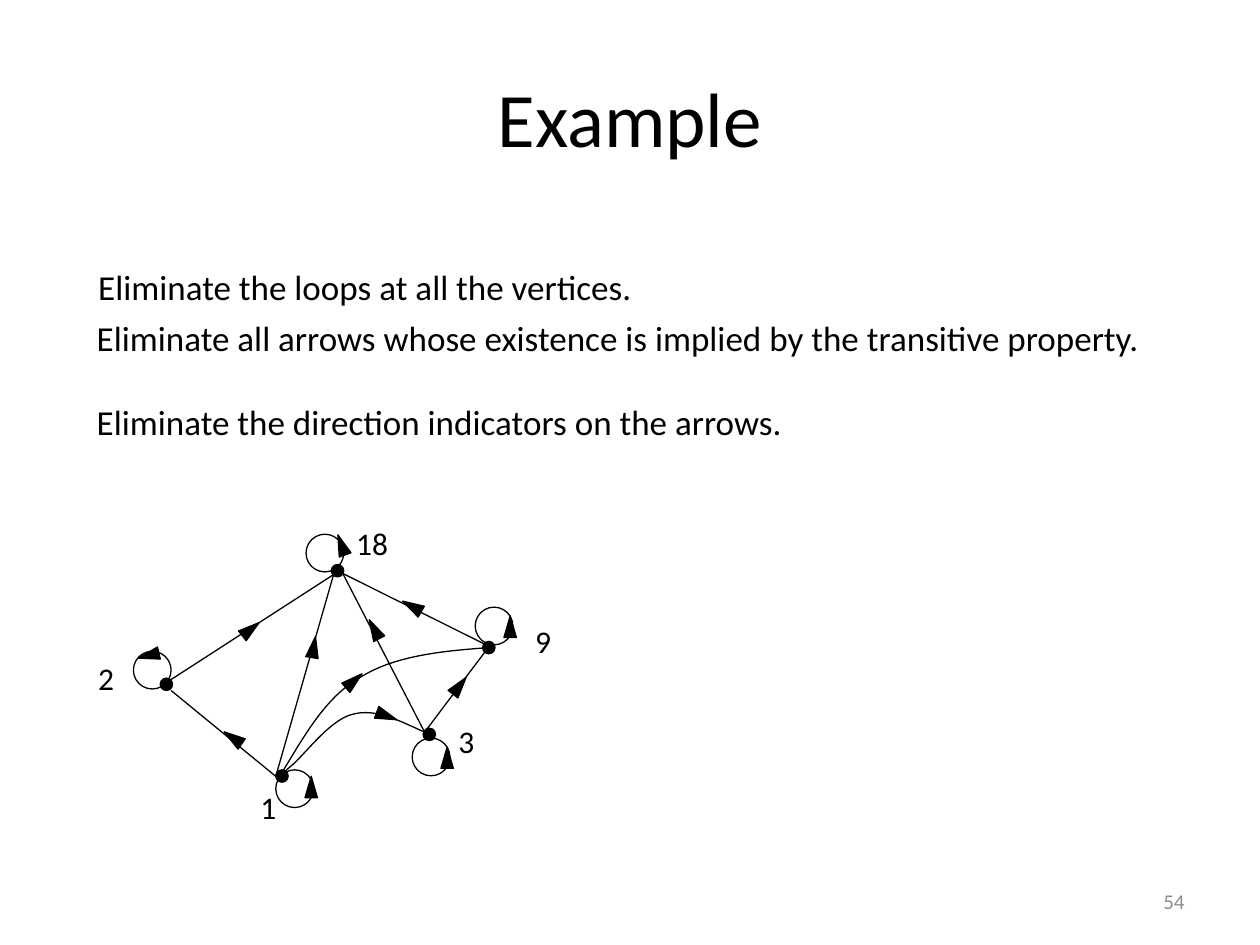
from dataclasses import dataclass
from itertools import chain

from lxml.etree import SubElement
from pptx import Presentation
from pptx.dml.color import RGBColor
from pptx.enum.shapes import MSO_CONNECTOR, MSO_SHAPE
from pptx.enum.text import MSO_ANCHOR, PP_ALIGN
from pptx.oxml.ns import qn
from pptx.util import Cm, Pt


@dataclass(frozen=True)
class Theme:
    font: str = "Calibri"
    ink: RGBColor = RGBColor(0x00, 0x00, 0x00)
    muted: RGBColor = RGBColor(0x8C, 0x8C, 0x8C)
    title: Pt = Pt(44)
    body: Pt = Pt(20)
    label: Pt = Pt(18)
    number: Pt = Pt(12)
    line: Pt = Pt(0.75)


THEME = Theme()
DOT = 0.25
LOOP = 0.76
HEAD = (0.25, 0.43)

STEPS = [
    ("Eliminate the loops at all the vertices.", (1.73, 5.23, 21.77, 1.09)),
    ("Eliminate all arrows whose existence is implied by the transitive property.",
     (1.7, 6.25, 21.77, 1.96)),
    ("Eliminate the direction indicators on the arrows.", (1.7, 7.95, 21.77, 1.09)),
]

# name: dot, label, label width, loop, loop arrowhead, arrowhead angle
VERTICES = {
    "1": ((5.56, 15.52), (5, 15.77), 1.12, (5.56, 15.52), (6.15, 15.65), 0),
    "2": ((3.23, 13.67), (1.73, 13.16), 1.12, (2.69, 13.13), (2.87, 13), 256.4),
    "3": ((8.53, 14.68), (8.99, 14.43), 1.12, (8.31, 14.88), (8.89, 15.06), 0),
    "9": ((9.73, 12.93), (10.54, 12.42), 1.12, (9.58, 12.24), (10.16, 12.42), 0),
    "18": ((6.68, 11.38), (6.93, 10.44), 1.5, (6.17, 10.77), (6.76, 10.77), 340.1),
}

STRAIGHT_EDGES = [
    ((5.56, 15.65), (3.45, 13.92), (4.57, 14.66), 304.9),
    ((3.23, 13.84), (6.76, 11.56), (4.93, 12.47), 51.8),
    ((9.8, 13), (6.91, 11.56), (8.18, 12.01), 299.6),
    ((8.56, 14.76), (9.8, 13.11), (9.14, 13.61), 38.1),
    ((5.56, 15.65), (6.76, 11.46), (6.2, 12.83), 9.5),
    ((8.56, 14.76), (6.91, 11.56), (7.42, 12.47), 332.4),
]

CURVED_EDGES = [
    ([(5.72, 15.54), (5.66, 15.6), (5.64, 15.65), (5.87, 15.44), (6.1, 15.27),
      (6.65, 14.5), (7.11, 14.4), (7.57, 14.27), (8.05, 14.53), (8.56, 14.76)],
     (7.67, 14.22), 110.4),
    ([(5.66, 15.62), (6.12, 14.86), (6.55, 14.07), (7.24, 13.67),
      (7.92, 13.23), (8.86, 13.13), (9.8, 13.06)],
     (7.01, 13.51), 48.9),
]


def add_text(s, text, box, *, size, color=THEME.ink, align=PP_ALIGN.LEFT,
             anchor=MSO_ANCHOR.TOP):
    tf = s.shapes.add_textbox(*map(Cm, box)).text_frame
    tf.word_wrap = True
    tf.vertical_anchor = anchor
    p = tf.paragraphs[0]
    p.alignment = align
    r = p.add_run()
    r.text = text
    r.font.name = THEME.font
    r.font.size = size
    r.font.color.rgb = color


def outline(sp, filled):
    sp.shadow.inherit = False
    sp.line.color.rgb = THEME.ink
    sp.line.width = THEME.line
    if filled:
        sp.fill.solid()
        sp.fill.fore_color.rgb = THEME.ink
    else:
        sp.fill.background()


def add_circle(s, at, size, filled):
    sp = s.shapes.add_shape(MSO_SHAPE.OVAL, *map(Cm, (*at, size, size)))
    outline(sp, filled)


def add_head(s, at, angle):
    sp = s.shapes.add_shape(MSO_SHAPE.ISOSCELES_TRIANGLE, *map(Cm, (*at, *HEAD)))
    sp.rotation = angle
    outline(sp, True)


def add_line(s, start, end):
    sp = s.shapes.add_connector(MSO_CONNECTOR.STRAIGHT, *map(Cm, (*start, *end)))
    sp.line.color.rgb = THEME.ink
    sp.line.width = THEME.line
    SubElement(sp._element.spPr, qn("a:effectLst"))


def bezier(a, b, c, d, steps=16):
    for i in range(1, steps + 1):
        t = i / steps
        u = 1 - t
        yield tuple(Cm(u**3 * w + 3 * u * u * t * x + 3 * u * t * t * y + t**3 * z)
                    for w, x, y, z in zip(a, b, c, d))


def add_curve(s, points):
    builder = s.shapes.build_freeform(*map(Cm, points[0]))
    spans = (bezier(*points[i:i + 4]) for i in range(0, len(points) - 1, 3))
    builder.add_line_segments(chain.from_iterable(spans), close=False)
    outline(builder.convert_to_shape(), False)


def add_vertex(s, name, dot, label, width, loop, head, angle):
    add_circle(s, loop, LOOP, False)
    add_head(s, head, angle)
    add_circle(s, dot, DOT, True)
    add_text(s, name, (*label, width, 1.02), size=THEME.label)


def main():
    prs = Presentation()
    prs.slide_width, prs.slide_height = Cm(25.4), Cm(19.05)
    s = prs.slides.add_slide(prs.slide_layouts[6])

    add_text(s, "Example", (1.27, 0.76, 22.86, 3.18), size=THEME.title,
             align=PP_ALIGN.CENTER, anchor=MSO_ANCHOR.MIDDLE)
    for text, box in STEPS:
        add_text(s, text, box, size=THEME.body)

    for name, parts in VERTICES.items():
        add_vertex(s, name, *parts)
    for start, end, head, angle in STRAIGHT_EDGES:
        add_line(s, start, end)
        add_head(s, head, angle)
    for points, head, angle in CURVED_EDGES:
        add_curve(s, points)
        add_head(s, head, angle)

    add_text(s, "54", (18.21, 17.65, 5.92, 1.02), size=THEME.number,
             color=THEME.muted, align=PP_ALIGN.RIGHT, anchor=MSO_ANCHOR.MIDDLE)
    prs.save("out.pptx")


if __name__ == "__main__":
    main()
